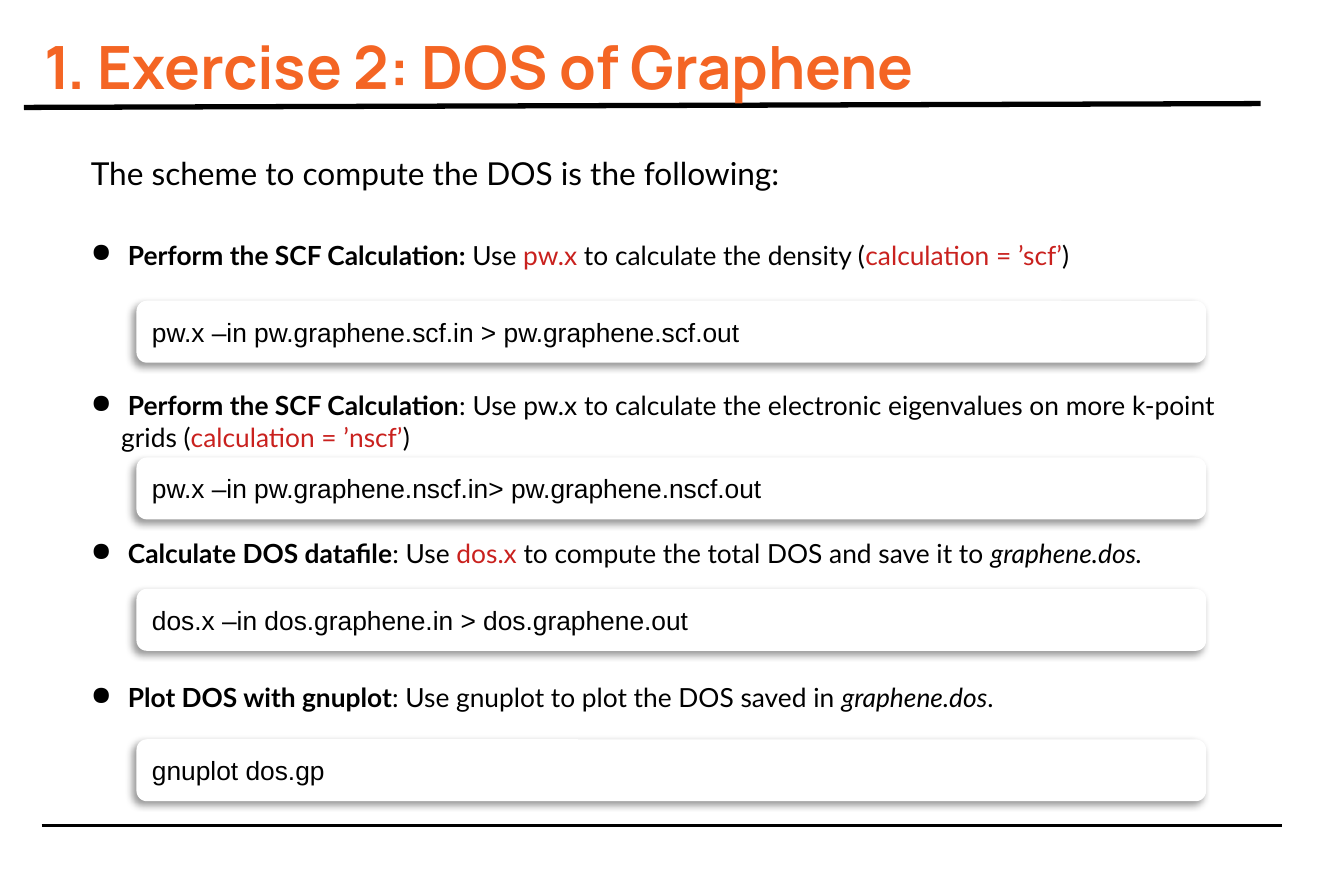
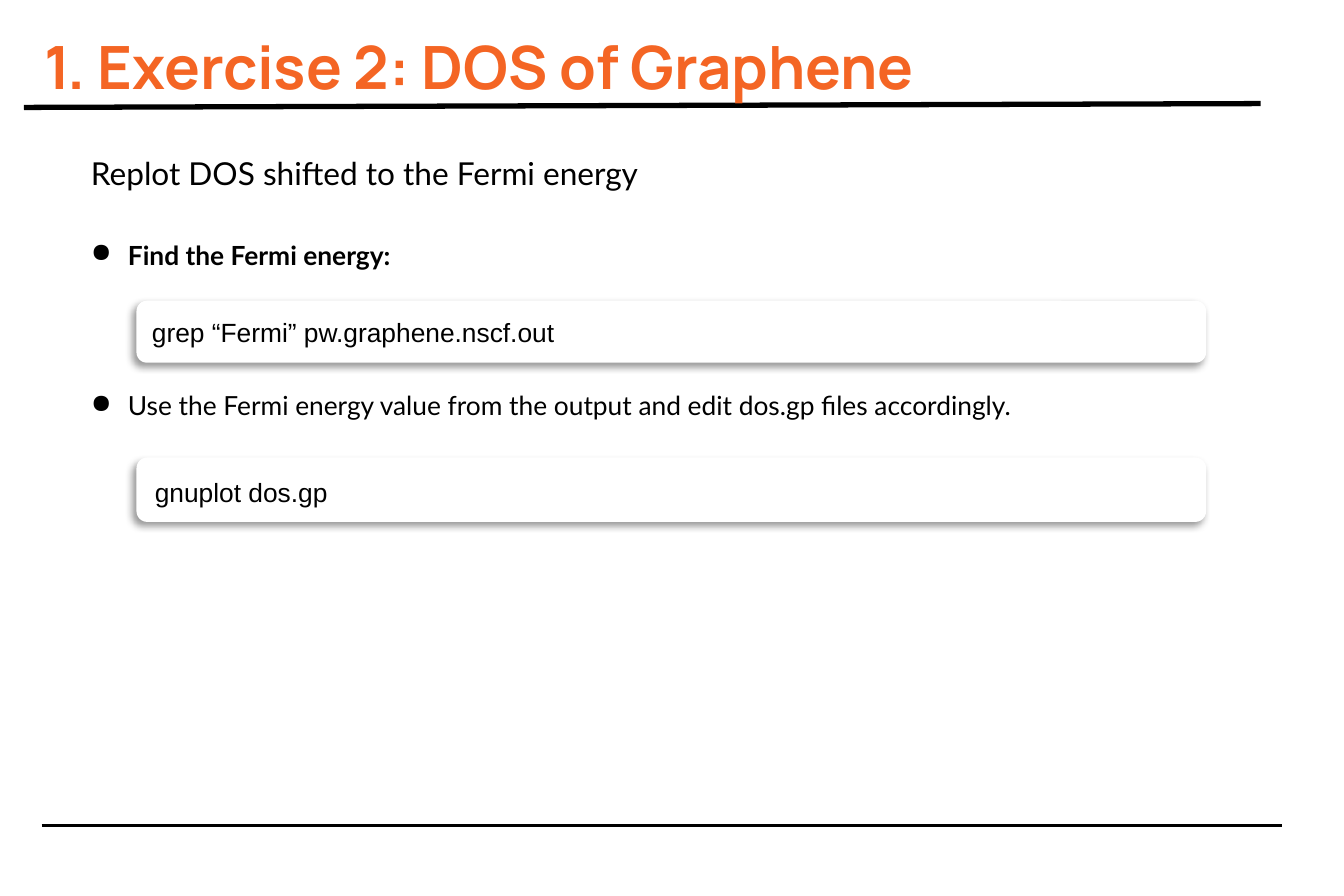
"""Build two slides on computing the density of states of graphene."""
from lxml import etree
from pptx import Presentation
from pptx import util as u
from pptx.dml.color import RGBColor
from pptx.enum import shapes, text
from pptx.oxml import ns

SCALE = 9144
BLACK = RGBColor(0x00, 0x00, 0x00)
WHITE = RGBColor(0xFF, 0xFF, 0xFF)
ORANGE = RGBColor(0xF4, 0x65, 0x24)
RED = RGBColor(0xC9, 0x21, 0x1E)
TITLE = "1. Exercise 2: DOS of Graphene"
PLAIN, BOLD, ITALIC, CODE = "plain", "bold", "italic", "code"


def px(*lengths):
    """Turn px lengths into EMU."""
    return [u.Emu(length * SCALE) for length in lengths]


def add_xml(parent, tag, **attributes):
    """Append one DrawingML element to a parent."""
    values = {key: str(value) for key, value in attributes.items()}
    return etree.SubElement(parent, ns.qn(tag), values)


def set_font(font, name, size, color=BLACK, bold=False):
    """Set the face, size, colour and weight of a font."""
    font.name, font.size, font.bold = name, u.Pt(size), bold
    font.color.rgb = color


def add_layout_rule(layout, page, ends, width):
    """Draw a black rule and place it on the shared layout."""
    rule = page.shapes.add_connector(shapes.MSO_CONNECTOR.STRAIGHT, *px(*ends))
    rule.line.color.rgb = BLACK
    rule.line.width = u.Pt(width)
    add_xml(rule.element.spPr, "a:effectLst")
    layout.shapes.element.append(rule.element)


def add_title(page):
    """Fill and format the title placeholder."""
    title = page.shapes.title
    title.left, title.top, title.width, title.height = px(24, 13, 881, 88)
    frame = title.text_frame
    frame.text = TITLE
    frame.auto_size = text.MSO_AUTO_SIZE.NONE
    frame.vertical_anchor = text.MSO_ANCHOR.TOP
    frame.margin_left, frame.margin_top, frame.margin_right, frame.margin_bottom = px(11, 11, 11, 11)
    para = frame.paragraphs[0]
    para.alignment = text.PP_ALIGN.LEFT
    set_font(para.font, "Manrope", 34, ORANGE, True)


def add_text_box(page, top, width=979, height=50):
    """Add a wrapping text box at the text margin and return its paragraph."""
    box = page.shapes.add_textbox(*px(62, top, width, height))
    box.text_frame.word_wrap = True
    return box.text_frame.paragraphs[0]


def add_intro(page, words):
    """Add the opening sentence of a slide."""
    para = add_text_box(page, 117)
    para.text = words
    set_font(para.font, "Lato", 18)


def add_step(page, spans, *place):
    """Add a bulleted step made of (text, style) spans."""
    para = add_text_box(page, *place)
    properties = para._p.get_or_add_pPr()
    properties.set("marL", str(24 * SCALE))
    properties.set("indent", str(-24 * SCALE))
    add_xml(add_xml(properties, "a:buClr"), "a:srgbClr", val=BLACK)
    add_xml(properties, "a:buChar", char="●")
    set_font(para.font, "Lato", 15)
    for words, style in [(" ", PLAIN), *spans]:
        span = para.add_run()
        span.text = words
        if style == BOLD:
            span.font.bold = True
        elif style == ITALIC:
            span.font.italic = True
        elif style == CODE:
            span.font.color.rgb = RED


def add_command(page, command, top, height=49, nudge=0):
    """Add a shadowed rounded box that holds a shell command."""
    box = page.shapes.add_shape(shapes.MSO_SHAPE.ROUNDED_RECTANGLE, *px(108, top, 846, height))
    box.fill.solid()
    box.fill.fore_color.rgb = WHITE
    box.line.fill.background()
    box.shadow.inherit = False
    effects = box.element.spPr.find(ns.qn("a:effectLst"))
    shadow = add_xml(effects, "a:outerShdw", blurRad=u.Pt(4), dist=u.Pt(3),
                     dir=135 * 60000, algn="tl", rotWithShape=0)
    color = add_xml(shadow, "a:srgbClr", val=BLACK)
    add_xml(color, "a:alpha", val=40000)
    frame = box.text_frame
    frame.word_wrap = True
    frame.vertical_anchor = text.MSO_ANCHOR.MIDDLE
    frame.margin_left, frame.margin_top, frame.margin_bottom = px(10 + nudge, 5 + 2 * nudge, 5)
    para = frame.paragraphs[0]
    para.text = command
    para.alignment = text.PP_ALIGN.LEFT
    set_font(para.font, "Arial", 15)


def add_page(deck, layout, intro):
    """Add a slide with the shared title and its opening sentence."""
    page = deck.slides.add_slide(layout)
    add_title(page)
    add_intro(page, intro)
    return page


def fill_scheme(page):
    """Add the four steps of the DOS calculation."""
    add_step(page, [("Perform the SCF Calculation: ", BOLD), ("Use ", PLAIN), ("pw.x", CODE),
                    (" to calculate the density (", PLAIN),
                    ("calculation = ’scf’", CODE), (")", PLAIN)], 184)
    add_command(page, "pw.x –in pw.graphene.scf.in > pw.graphene.scf.out", 238)
    add_step(page, [("Perform the SCF Calculation", BOLD),
                    (": Use pw.x to calculate the electronic eigenvalues on more k-point grids (", PLAIN),
                    ("calculation = ’nscf’", CODE), (")", PLAIN)], 303, 928, 89)
    add_command(page, "pw.x –in pw.graphene.nscf.in> pw.graphene.nscf.out", 362)
    add_step(page, [("Calculate DOS datafile", BOLD), (": Use ", PLAIN), ("dos.x", CODE),
                    (" to compute the total DOS and save it to ", PLAIN),
                    ("graphene.dos.", ITALIC)], 420)
    add_command(page, "dos.x –in dos.graphene.in > dos.graphene.out", 466)
    add_step(page, [("Plot DOS with gnuplot", BOLD),
                    (": Use gnuplot to plot the DOS saved in ", PLAIN),
                    ("graphene.dos", ITALIC), (".", PLAIN)], 534)
    add_command(page, "gnuplot dos.gp", 585)


def fill_replot(page):
    """Add the two steps that shift the plot to the Fermi energy."""
    add_step(page, [("Find the Fermi energy:", BOLD)], 184)
    add_command(page, "grep “Fermi” pw.graphene.nscf.out", 238)
    add_step(page, [("Use the Fermi energy value from the output and edit dos.gp files accordingly.", PLAIN)],
             303, 928, 51)
    add_command(page, "gnuplot dos.gp", 362, 51, nudge=2)


def main():
    """Build and save the deck."""
    deck = Presentation()
    deck.slide_width, deck.slide_height = px(1063, 709)
    layout = deck.slide_layouts[5]
    scheme = add_page(deck, layout, "The scheme to compute the DOS is the following:")
    add_layout_rule(layout, scheme, (19, 85, 997, 82), 3)
    add_layout_rule(layout, scheme, (33, 653, 1014, 653), 1.5)
    fill_scheme(scheme)
    fill_replot(add_page(deck, layout, "Replot DOS shifted to the Fermi energy"))
    deck.save("out.pptx")


if __name__ == "__main__":
    main()
